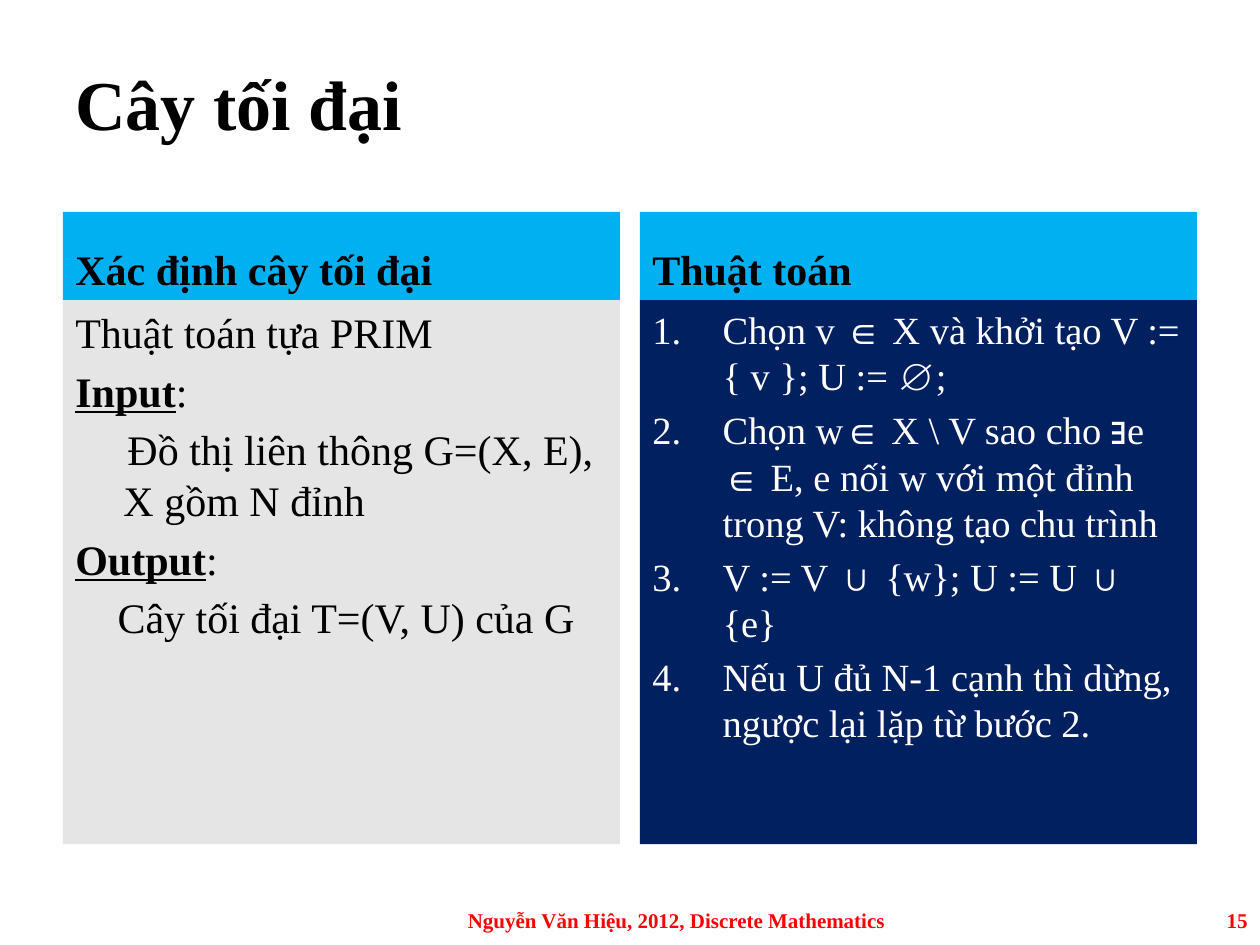
import pptx
import pptx.dml.color
import pptx.enum.shapes
import pptx.enum.text
import pptx.oxml
import pptx.util
from dataclasses import dataclass

Cm = pptx.util.Cm
Align = pptx.enum.text.PP_ALIGN
Anchor = pptx.enum.text.MSO_ANCHOR


@dataclass(frozen=True)
class Theme:
    font: str = "Times New Roman"
    black: str = "000000"
    white: str = "FFFFFF"
    red: str = "FF0000"
    header: str = "00B0F0"
    light: str = "E5E5E5"
    navy: str = "002060"
    title: int = 40
    body: int = 24
    steps: int = 22
    footer: int = 12


T = Theme()
LEFT, COL_W, GAP = 1.27, 11.23, 0.4
HEAD_TOP, HEAD_H, BODY_H = 4.27, 1.78, 10.97
HANGING = (0.97, -0.97)
STEP_INDENT = (1.42, -1.42)


def set_all(obj, values):
    for name, value in values.items():
        setattr(obj, name, value)


def rgb(color):
    return pptx.dml.color.RGBColor.from_string(color)


def add_run(p, text, size, color, **fmt):
    r = p.add_run()
    r.text = text
    set_all(r.font, {"name": T.font, "size": pptx.util.Pt(size), **fmt})
    r.font.color.rgb = rgb(color)


def set_indent(p, indent):
    left, first = indent
    pPr = p._p.get_or_add_pPr()
    pPr.set("marL", str(Cm(left)))
    pPr.set("indent", str(Cm(first)))
    return pPr


def number(p):
    pPr = set_indent(p, STEP_INDENT)
    pPr.append(pptx.oxml.parse_xml(
        '<a:buAutoNum xmlns:a="http://schemas.openxmlformats.org/drawingml/2006/main"'
        ' type="arabicPeriod"/>'))


def add_paragraph(tf, index, size):
    p = tf.add_paragraph() if index else tf.paragraphs[0]
    p.alignment = Align.LEFT
    if index:
        p.space_before = pptx.util.Pt(size * 0.2)
    return p


def add_label(s, box, text, size, color, align=Align.LEFT):
    tf = s.shapes.add_textbox(*map(Cm, box)).text_frame
    set_all(tf, {"word_wrap": True, "vertical_anchor": Anchor.MIDDLE})
    p = tf.paragraphs[0]
    p.alignment = align
    add_run(p, text, size, color, bold=True)


def add_panel(s, box, fill, anchor=Anchor.TOP):
    sp = s.shapes.add_shape(pptx.enum.shapes.MSO_SHAPE.RECTANGLE, *map(Cm, box))
    sp.shadow.inherit = False
    sp.fill.solid()
    sp.fill.fore_color.rgb = rgb(fill)
    sp.line.fill.background()
    tf = sp.text_frame
    set_all(tf, {"word_wrap": True, "vertical_anchor": anchor})
    return tf


def add_column(s, index, heading, fill):
    left = LEFT + index * (COL_W + GAP)
    tf = add_panel(s, (left, HEAD_TOP, COL_W, HEAD_H), T.header, Anchor.BOTTOM)
    add_run(add_paragraph(tf, 0, T.body), heading, T.body, T.black, bold=True)
    return add_panel(s, (left, HEAD_TOP + HEAD_H, COL_W, BODY_H), fill)


def fill_definition(tf, lines):
    for i, (text, indent, is_term) in enumerate(lines):
        p = add_paragraph(tf, i, T.body)
        set_indent(p, indent)
        add_run(p, text, T.body, T.black, bold=is_term, underline=is_term)
        if is_term:
            add_run(p, ":", T.body, T.black)


def fill_steps(tf, steps):
    for i, text in enumerate(steps):
        p = add_paragraph(tf, i, T.steps)
        number(p)
        add_run(p, text, T.steps, T.white)


def main():
    prs = pptx.Presentation()
    set_all(prs, {"slide_width": Cm(25.4), "slide_height": Cm(19.05)})
    s = prs.slides.add_slide(prs.slide_layouts[6])

    add_label(s, (LEFT, 0.76, 22.86, 2.62), "Cây tối đại", T.title, T.black)

    fill_definition(add_column(s, 0, "Xác định cây tối đại", T.light), [
        ("Thuật toán tựa PRIM", HANGING, False),
        ("Input", HANGING, True),
        ("Đồ thị liên thông G=(X, E), X gồm N đỉnh", (0.97, 0.08), False),
        ("Output", HANGING, True),
        ("Cây tối đại T=(V, U) của G", (0.97, -0.12), False),
    ])
    fill_steps(add_column(s, 1, "Thuật toán", T.navy), [
        "Chọn v ∈ X và khởi tạo V := { v }; U := ∅;",
        "Chọn w∈ X \\ V sao cho ∃e ∈ E, e nối w với một đỉnh trong V: "
        "không tạo chu trình",
        "V := V ∪ {w}; U := U ∪ {e}",
        "Nếu U đủ N-1 cạnh thì dừng, ngược lại lặp từ bước 2.",
    ])

    add_label(s, (8.46, 18.03, 10.36, 1.02),
              "Nguyễn Văn Hiệu, 2012, Discrete Mathematics",
              T.footer, T.red, Align.CENTER)
    add_label(s, (19.48, 18.03, 5.92, 1.02), "15", T.footer, T.red, Align.RIGHT)

    prs.save("out.pptx")


if __name__ == "__main__":
    main()
